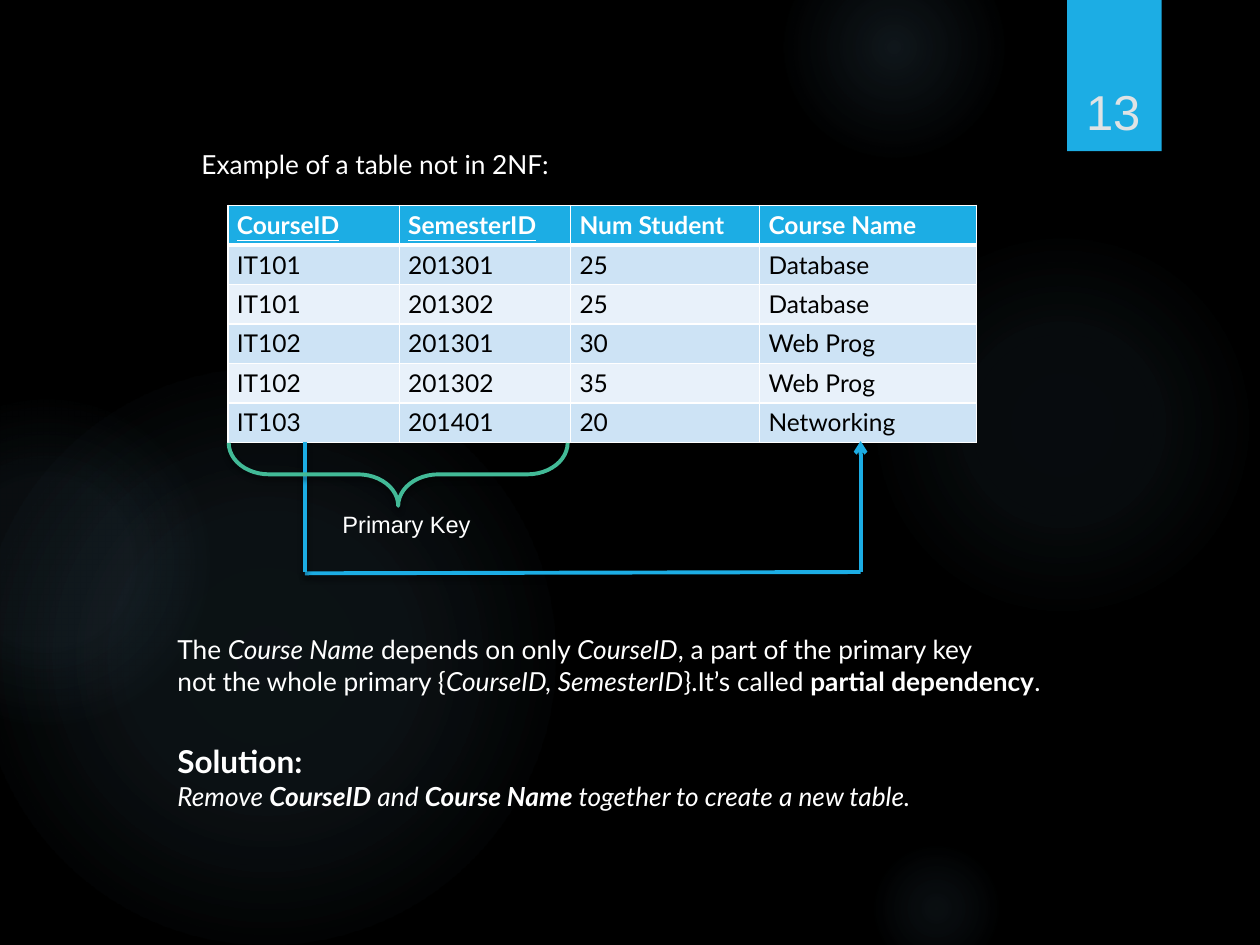
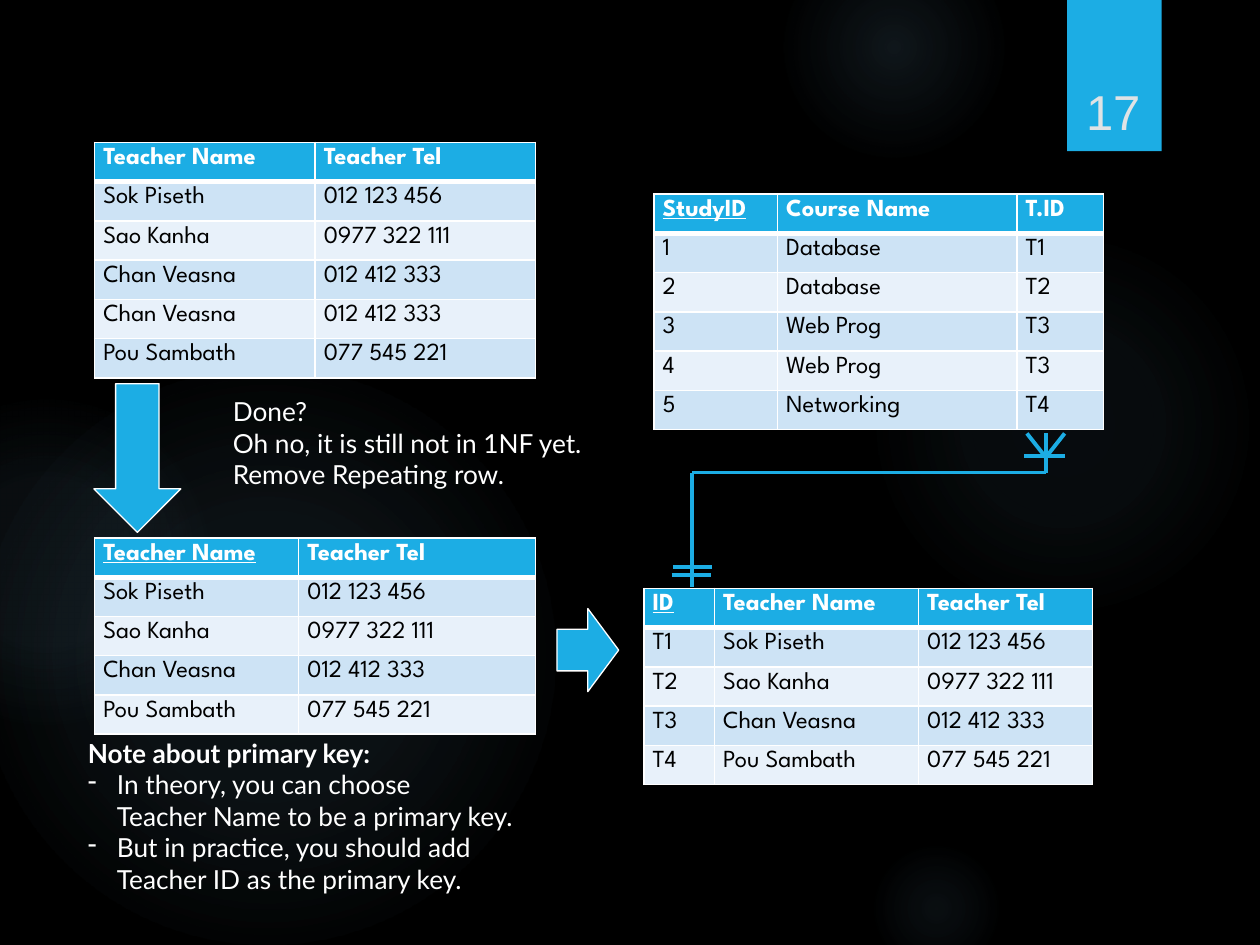
from dataclasses import dataclass

from lxml.etree import SubElement
from pptx import Presentation
from pptx.dml.color import RGBColor
from pptx.enum.shapes import MSO_CONNECTOR, MSO_SHAPE as SHAPE
from pptx.enum.text import MSO_ANCHOR, MSO_AUTO_SIZE as AUTO_SIZE, PP_ALIGN
from pptx.oxml.ns import qn
from pptx.util import Inches, Pt


@dataclass(frozen=True)
class Theme:
    background: str = "000000"
    glow: str = "70A1C0"
    accent: str = "1CADE4"
    brace: str = "42BA97"
    light: str = "FFFFFF"
    dark: str = "000000"
    number: str = "DFE3E5"
    bands: tuple = ("CDE3F5", "E8F1FA")
    body_font: str = "Lato"
    table_font: str = "League Spartan"
    label_font: str = "Arial"
    heading_size: float = 18
    body_size: float = 15
    table_size: float = 14
    label_size: float = 13.5
    number_size: float = 28
    line_width: float = 2.25


THEME = Theme()

# Shared backdrop: left, top, diameter, (position %, opacity %) stops
GLOWS = [
    (6.89, 1.83, 3.08, [(0, 7), (36, 6), (69, 0)]),
    (6.22, -0.5, 1.75, [(0, 14), (36, 7), (73, 0)]),
    (6.89, 6.67, 1.08, [(0, 9), (36, 5), (66, 0)]),
    (-0.17, 2.92, 4.58, [(0, 11), (36, 10), (75, 0)]),
    (-0.92, 3.17, 2.58, [(0, 8), (36, 8), (72, 0)]),
]
NUMBER_BAND = (8.47, 0, 0.75, 1.2)
NUMBER_BOX = (8.49, 0.32, 0.69, 0.84)
ROW_HEIGHT = 1.87 / 6

# Slide 13: a table that is not in 2NF
COURSES = dict(
    at=(1.81, 1.63), widths=[1.36, 1.36, 1.5, 1.72], font=THEME.body_font,
    keys={"CourseID", "SemesterID"},
    rows=[
        ("CourseID", "SemesterID", "Num Student", "Course Name"),
        ("IT101", "201301", "25", "Database"),
        ("IT101", "201302", "25", "Database"),
        ("IT102", "201301", "30", "Web Prog"),
        ("IT102", "201302", "35", "Web Prog"),
        ("IT103", "201401", "20", "Networking"),
    ])
# A paragraph is a list of (text, style) pieces; styles are b, i, or h for heading
EXAMPLE = [[("Example of a table not in 2NF:", "")]]
PRIMARY_KEY = [[("Primary Key", "")]]
DEPENDENCY = [[
    ("The ", ""), ("Course Name", "i"), (" depends on only ", ""), ("CourseID", "i"),
    (", a part of the primary key\nnot the whole primary {", ""),
    ("CourseID, SemesterID", "i"), ("}.It’s called ", ""),
    ("partial dependency", "b"), (".", ""),
]]
SOLUTION = [
    [("Solution:", "bh")],
    [("Remove ", "i"), ("CourseID", "bi"), (" and ", "i"), ("Course Name", "bi"),
     (" together to create a new table.", "i")],
]
DEPENDENCY_ARROW = ((6.83, 3.5), (6.83, 4.54))
DEPENDENCY_PATH = [((6.83, 4.54), (2.42, 4.55)), ((2.42, 4.54), (2.42, 3.51))]

# Slide 17: splitting teachers out of the course table
TEACHER_HEAD = ("Teacher Name", "Teacher Tel")
TEACHERS = [
    ("Sok Piseth", "012 123 456"),
    ("Sao Kanha", "0977 322 111"),
    ("Chan Veasna", "012 412 333"),
    ("Pou Sambath", "077 545 221"),
]
STUDIES = [("Database", "T1"), ("Database", "T2"), ("Web Prog", "T3"),
           ("Web Prog", "T3"), ("Networking", "T4")]
TEACHER_TABLES = [
    dict(at=(0.75, 1.13), widths=[1.75, 1.75], keys=set(),
         rows=[TEACHER_HEAD, *TEACHERS[:3], *TEACHERS[2:]]),
    dict(at=(0.75, 4.27), widths=[1.62, 1.88], keys={"Teacher Name"},
         rows=[TEACHER_HEAD, *TEACHERS]),
    dict(at=(5.19, 1.54), widths=[0.98, 1.9, 0.69], keys={"StudyID"},
         rows=[("StudyID", "Course Name", "T.ID"),
               *[(str(n), *study) for n, study in enumerate(STUDIES, 1)]]),
    dict(at=(5.11, 4.67), widths=[0.56, 1.62, 1.38], keys={"ID"},
         rows=[("ID", *TEACHER_HEAD),
               *[(f"T{n}", *teacher) for n, teacher in enumerate(TEACHERS, 1)]]),
]
STEP_ARROWS = [((0.5, 3.29, 1.18, 0.69), 90), ((4.42, 4.83, 0.49, 0.66), 0)]
REPEATING = [[("Done?\nOh no, it is still not in 1NF yet.\nRemove Repeating row.", "")]]
KEY_NOTE = [
    [("Note about primary key:", "b")],
    [("In theory, you can choose\nTeacher Name to be a primary key.", "")],
    [("But in practice, you should add\nTeacher ID as the primary key.", "")],
]
RELATION = [
    # Path between the tables
    ((8.3, 3.44), (8.3, 3.75)), ((8.3, 3.75), (5.49, 3.75)), ((5.49, 3.75), (5.49, 4.66)),
    # Many end
    ((8.3, 3.63), (8.45, 3.44)), ((8.3, 3.63), (8.15, 3.44)), ((8.13, 3.62), (8.45, 3.62)),
    # One end
    ((5.33, 4.56), (5.64, 4.56)), ((5.34, 4.5), (5.65, 4.5)),
]


def inches(values):
    return [Inches(value) for value in values]


def rgb(colour):
    return RGBColor.from_string(colour)


def add_colour(parent, colour, opacity=None):
    node = SubElement(parent, qn("a:srgbClr"), val=colour)
    if opacity is not None:
        SubElement(node, qn("a:alpha"), val=str(opacity * 1000))


def set_shadow(part, cast):
    properties = part.element.spPr
    effects = properties.find(qn("a:effectLst"))
    if effects is None:
        effects = SubElement(properties, qn("a:effectLst"))
    if cast:
        shadow = SubElement(effects, qn("a:outerShdw"), blurRad=str(Pt(3)), dist=str(Pt(2)),
                            dir="5400000", rotWithShape="0")
        add_colour(shadow, THEME.dark, 45)


def add_figure(slide, kind, box, fill=None, line=None, width=0.75, rotation=0, shadow=False):
    figure = slide.shapes.add_shape(kind, *inches(box))
    figure.rotation = rotation
    if fill:
        figure.fill.solid()
        figure.fill.fore_color.rgb = rgb(fill)
    else:
        figure.fill.background()
    if line:
        figure.line.color.rgb = rgb(line)
        figure.line.width = Pt(width)
    else:
        figure.line.fill.background()
    figure.shadow.inherit = False
    set_shadow(figure, shadow)
    return figure


def add_line(shapes, start, end, shadow=False, arrow=False):
    line = shapes.add_connector(MSO_CONNECTOR.STRAIGHT, *inches(start + end))
    line.line.color.rgb = rgb(THEME.accent)
    line.line.width = Pt(THEME.line_width)
    if arrow:
        SubElement(line.line._get_or_add_ln(), qn("a:headEnd"), type="arrow")
    set_shadow(line, shadow)


def format_font(font, name, size, colour, bold=False, italic=False, underline=False):
    font.name, font.size, font.color.rgb = name, Pt(size), rgb(colour)
    font.bold, font.italic, font.underline = bold, italic, underline


def add_text(slide, box, paragraphs, wrap=False, font=THEME.body_font, size=THEME.body_size,
             colour=THEME.light, grow=True):
    frame = slide.shapes.add_textbox(*inches(box)).text_frame
    frame.word_wrap = wrap
    frame.auto_size = AUTO_SIZE.SHAPE_TO_FIT_TEXT if grow else AUTO_SIZE.NONE
    for index, pieces in enumerate(paragraphs):
        paragraph = frame.add_paragraph() if index else frame.paragraphs[0]
        for text, style in pieces:
            for number, part in enumerate(text.split("\n")):
                if number:
                    paragraph.add_line_break()
                run = paragraph.add_run()
                run.text = part
                format_font(run.font, font, THEME.heading_size if "h" in style else size,
                            colour, "b" in style, "i" in style)
    return frame


def add_bullet(paragraph):
    properties = paragraph._p.get_or_add_pPr()
    properties.set("marL", str(Inches(0.23)))
    properties.set("indent", str(Inches(-0.23)))
    SubElement(properties, qn("a:buChar"), char="-")


def add_borders(cell, top, bottom):
    properties = cell._tc.get_or_add_tcPr()
    for side, width in (("L", 1), ("R", 1), ("T", top), ("B", bottom)):
        border = SubElement(properties, qn(f"a:ln{side}"), w=str(Pt(width)))
        add_colour(SubElement(border, qn("a:solidFill")), THEME.light)


def add_grid(slide, at, widths, rows, keys, font=THEME.table_font):
    size = (sum(widths), ROW_HEIGHT * len(rows))
    table = slide.shapes.add_table(len(rows), len(widths), *inches(at + size)).table
    table.horz_banding = False
    for column, width in zip(table.columns, widths):
        column.width = Inches(width)
    for r, row in enumerate(rows):
        header = r == 0
        for c, text in enumerate(row):
            cell = table.cell(r, c)
            cell.margin_left = cell.margin_right = Inches(0.07)
            cell.margin_top = cell.margin_bottom = Inches(0.04)
            add_borders(cell, top=3 if r == 1 else 1, bottom=3 if header else 1)
            cell.fill.solid()
            cell.fill.fore_color.rgb = rgb(THEME.accent if header else THEME.bands[(r - 1) % 2])
            cell.text_frame.text = text
            format_font(cell.text_frame.paragraphs[0].runs[0].font, font, THEME.table_size,
                        THEME.light if header else THEME.dark, bold=header,
                        underline=header and text in keys)


def add_glow(slide, left, top, diameter, stops):
    glow = add_figure(slide, SHAPE.OVAL, (left, top, diameter, diameter))
    properties = glow.element.spPr
    no_fill = properties.find(qn("a:noFill"))
    gradient = SubElement(properties, qn("a:gradFill"), rotWithShape="1")
    properties.replace(no_fill, gradient)
    stop_list = SubElement(gradient, qn("a:gsLst"))
    for position, opacity in stops:
        stop = SubElement(stop_list, qn("a:gs"), pos=str(position * 1000))
        add_colour(stop, THEME.glow, opacity)
    centre = SubElement(gradient, qn("a:path"), path="circle")
    SubElement(centre, qn("a:fillToRect"), l="50000", t="50000", r="50000", b="50000")


def add_base_slide(deck, number):
    slide = deck.slides.add_slide(deck.slide_layouts[6])
    slide.background.fill.solid()
    slide.background.fill.fore_color.rgb = rgb(THEME.background)
    for glow in GLOWS:
        add_glow(slide, *glow)
    add_figure(slide, SHAPE.RECTANGLE, NUMBER_BAND, fill=THEME.accent, shadow=True)
    frame = add_text(slide, NUMBER_BOX, [[(str(number), "")]], wrap=True, grow=False,
                     font=THEME.label_font, size=THEME.number_size, colour=THEME.number)
    frame.vertical_anchor = MSO_ANCHOR.BOTTOM
    frame.paragraphs[0].alignment = PP_ALIGN.CENTER
    return slide


def build_dependency_slide(deck):
    slide = add_base_slide(deck, 13)
    add_grid(slide, **COURSES)
    add_text(slide, (1.5, 1.13, 3.08, 0.35), EXAMPLE)
    add_text(slide, (2.62, 4, 1.23, 0.33), PRIMARY_KEY,
             font=THEME.label_font, size=THEME.label_size)
    add_line(slide.shapes, *DEPENDENCY_ARROW, shadow=True, arrow=True)
    for start, end in DEPENDENCY_PATH:
        add_line(slide.shapes, start, end, shadow=True)
    add_text(slide, (1.31, 4.98, 7.27, 0.86), DEPENDENCY, wrap=True)
    add_text(slide, (1.31, 5.84, 6.7, 0.66), SOLUTION)
    key_brace = add_figure(slide, SHAPE.RIGHT_BRACE, (2.91, 2.42, 0.5, 2.69), line=THEME.brace,
                           width=THEME.line_width, rotation=90, shadow=True)
    key_brace.adjustments[0] = 0.64


def build_split_slide(deck):
    slide = add_base_slide(deck, 17)
    for teacher_table in TEACHER_TABLES:
        add_grid(slide, **teacher_table)
    for box, rotation in STEP_ARROWS:
        add_figure(slide, SHAPE.RIGHT_ARROW, box, fill=THEME.accent, line=THEME.light,
                   rotation=rotation)
    add_text(slide, (1.75, 3.09, 3.56, 0.86), REPEATING, wrap=True)
    note = add_text(slide, (0.6, 5.8, 3.73, 1.36), KEY_NOTE)
    for paragraph in note.paragraphs[1:]:
        add_bullet(paragraph)
    relation = slide.shapes.add_group_shape()
    for start, end in RELATION:
        add_line(relation.shapes, start, end)


def main():
    deck = Presentation()
    deck.slide_width, deck.slide_height = Inches(10), Inches(7.5)
    build_dependency_slide(deck)
    build_split_slide(deck)
    deck.save("out.pptx")


if __name__ == "__main__":
    main()
